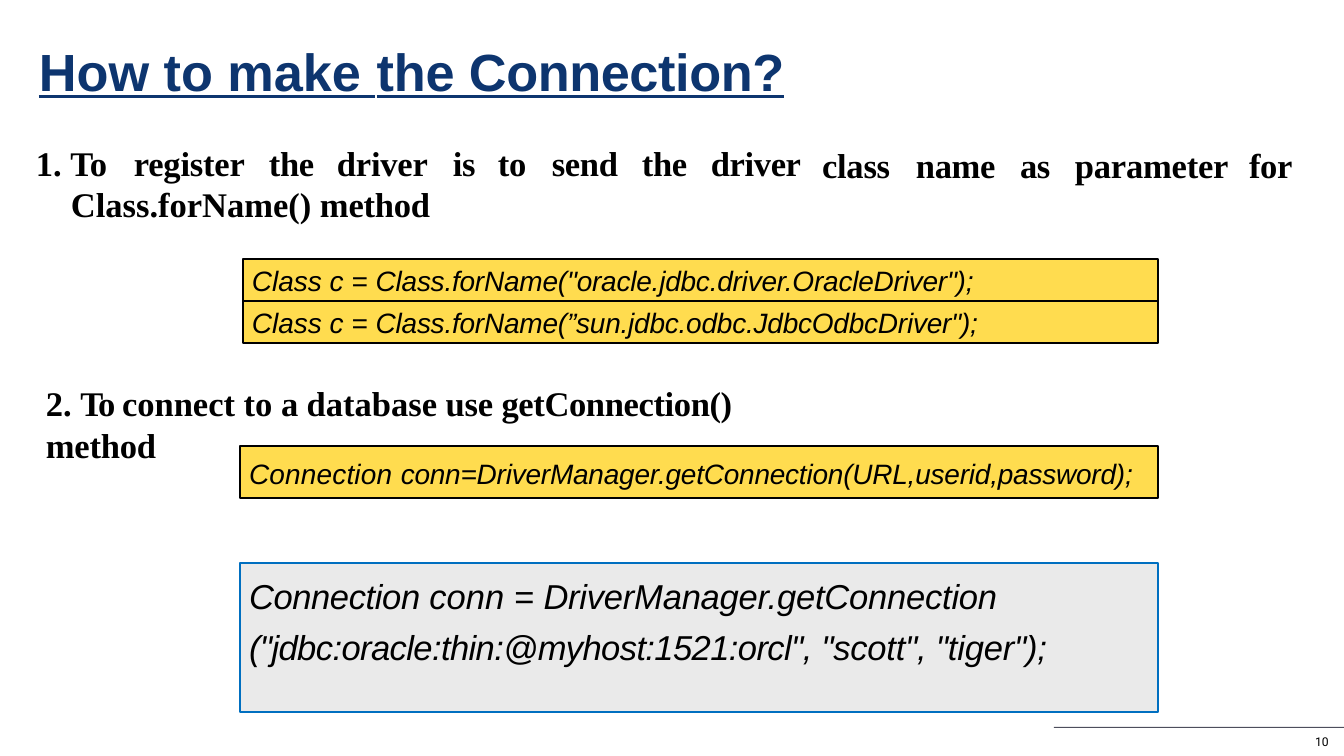
from lxml import etree
from pptx import Presentation
from pptx.dml.color import RGBColor
from pptx.enum.shapes import MSO_SHAPE
from pptx.enum.text import MSO_ANCHOR, PP_ALIGN
from pptx.oxml.ns import qn
from pptx.util import Emu, Pt

RECTANGLE = MSO_SHAPE.RECTANGLE
TOP = MSO_ANCHOR.TOP
LEFT = PP_ALIGN.LEFT
EMU_PER_PX = 914400 / 134.4


def px(length):
    return Emu(round(length * EMU_PER_PX))


def color(value):
    return RGBColor.from_string(value)


class Deck:
    NAVY = "0D356F"
    BLACK = "000000"
    YELLOW = "FFDC4F"
    GRAY = "EAEAEA"
    BLUE = "006FC0"
    RULE = "4D4E5C"
    SANS = "Arial"
    SERIF = "Times New Roman"
    SMALL = "Roboto"

    def __init__(self, width, height):
        self.presentation = Presentation()
        self.presentation.slide_width = px(width)
        self.presentation.slide_height = px(height)
        self.slide = self.presentation.slides.add_slide(self.presentation.slide_layouts[6])

    def fill_text(self, shape, paragraphs, font, size, ink=BLACK, bold=False, italic=False,
                  underline=False, left=1, top=3, spacing=None, tabs=(), hanging=0):
        frame = shape.text_frame
        frame.word_wrap = True
        frame.vertical_anchor = TOP
        frame.margin_left, frame.margin_top = px(left), px(top)
        frame.margin_right = frame.margin_bottom = 0
        for index, runs in enumerate(paragraphs):
            paragraph = frame.add_paragraph() if index else frame.paragraphs[0]
            paragraph.alignment = LEFT
            properties = paragraph._p.get_or_add_pPr()
            if index:
                properties.set("marL", str(px(hanging)))
            elif tabs:
                stops = etree.SubElement(properties, qn("a:tabLst"))
                for position in tabs:
                    etree.SubElement(stops, qn("a:tab"), pos=str(px(position)), algn="l")
            if spacing:
                paragraph.line_spacing = Pt(spacing)
            style = paragraph.font
            style.name, style.size = font, Pt(size)
            style.bold, style.italic, style.underline = bold, italic, underline
            style.color.rgb = color(ink)
            for words, tracking in runs:
                run = paragraph.add_run()
                run.text = words
                if tracking:
                    run._r.get_or_add_rPr().set("spc", str(tracking))

    def text(self, x, y, width, height, paragraphs, font, size, **style):
        box = self.slide.shapes.add_textbox(px(x), px(y), px(width), px(height))
        self.fill_text(box, paragraphs, font, size, **style)

    def panel(self, x, y, width, height, fill, line=None):
        shape = self.slide.shapes.add_shape(RECTANGLE, px(x), px(y), px(width), px(height))
        shape.shadow.inherit = False
        shape.fill.solid()
        shape.fill.fore_color.rgb = color(fill)
        if line:
            shape.line.color.rgb = color(line)
            shape.line.width = Pt(0.8)
        else:
            shape.line.fill.background()
        return shape

    def code(self, x, y, width, height, runs, size=15, fill=YELLOW, line=BLACK, **style):
        box = self.panel(x, y, width, height, fill, line)
        self.fill_text(box, [runs], self.SANS, size, italic=True, left=9, **style)

    def save(self):
        self.presentation.save("out.pptx")


def main():
    deck = Deck(1344, 756)
    deck.panel(1054, 727, 290, 1, deck.RULE)

    deck.text(38, 31, 747, 67, [[
        ("How", 0), (" ", -10), ("to", 0), (" ", -160), ("make", 0), (" ", 60),
        ("the", 0), (" Connection?", -20),
    ]], deck.SANS, 28, ink=deck.NAVY, bold=True, underline=True, top=8)

    deck.text(35, 140, 768, 86, [
        [("1. ", 0), ("To\t", -20), ("register\t", -10), ("the\t", -20),
         ("driver\t", -10), ("is\tto\tsend\tthe\tdriver", -20)],
        [("Class.forName() ", 0), ("method", -10)],
    ], deck.SERIF, 18.5, bold=True, spacing=21.9, hanging=35,
        tabs=(98, 233, 301, 417, 462, 516, 606, 675))
    deck.text(821, 140, 475, 46, [[
        ("class\t", -10), ("name\tas\t", -20), ("parameter\t", -10), ("for", -20),
    ]], deck.SERIF, 18.5, bold=True, top=4, tabs=(94, 198, 253, 427))

    drivers = ('"oracle.jdbc.driver.OracleDriver"', '”sun.jdbc.odbc.JdbcOdbcDriver"')
    for row, driver in enumerate(drivers):
        deck.code(243, 259 + 42 * row, 915, 42,
                  [("Class c = ", 0), (f"Class.forName({driver});", -10)], top=5)

    deck.text(45, 378, 801, 46, [[
        ("2. ", 0), ("To ", -110), ("connect to ", 0), ("a ", -10), ("database ", 0),
        ("use ", -10), ("getConnection() ", -20), ("method", -10),
    ]], deck.SERIF, 18.5, bold=True, top=4)

    deck.code(240, 446, 918, 52, [
        ("Connection ", 10),
        ("conn=DriverManager.getConnection(URL,userid,password);", -10),
    ], top=11)
    deck.code(240, 563, 918, 149, [
        ("Connection ", -20), ("conn = ", 0), ("DriverManager.getConnection ", -10),
        ('("jdbc:oracle:thin:@myhost:1521:orcl", ', -30), ('"scott", "tiger");', -10),
    ], size=18.5, fill=deck.GRAY, line=deck.BLUE, spacing=27.3)

    deck.text(1314, 731, 17, 16, [[("10", 0)]], deck.SMALL, 6.5)
    deck.save()


if __name__ == "__main__":
    main()
